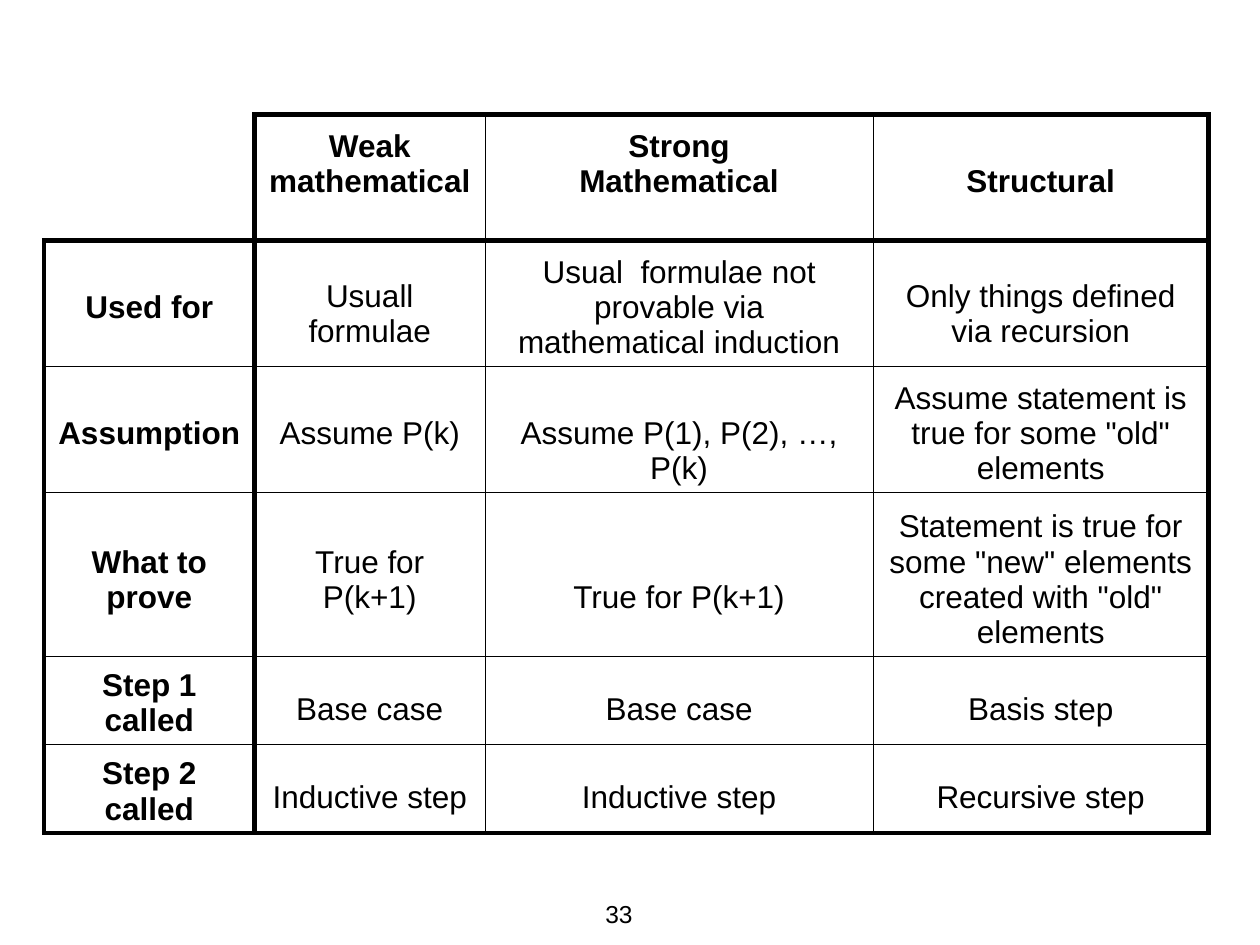
"""Build a slide with a table comparing three kinds of induction."""
import pptx
import pptx.dml.color
import pptx.enum.text
import pptx.oxml.ns
import pptx.util
import lxml.etree
from pptx.util import Inches

BLACK = pptx.dml.color.RGBColor(0, 0, 0)
ALIGN = pptx.enum.text.PP_ALIGN
ANCHOR = pptx.enum.text.MSO_ANCHOR
THICK, THIN, NONE = 3, 0.5, 0
LOW, RAISED, HIGH = 0.05, 0.14, 0.33

COLUMN_WIDTHS = [1.67, 1.83, 3.08, 2.66]
ROW_HEIGHTS = [1, 1, 1, 1.3, 0.7, 0.7]
ROWS = [
    [("", LOW), ("Weak mathematical", HIGH), ("Strong\nMathematical", HIGH), ("Structural", HIGH)],
    [("Used for", HIGH), ("Usuall formulae", RAISED),
     ("Usual  formulae not provable via mathematical induction", LOW),
     ("Only things defined via recursion", RAISED)],
    [("Assumption", HIGH), ("Assume P(k)", HIGH), ("Assume P(1), P(2), …, P(k)", LOW),
     ('Assume statement is true for some "old" elements', LOW)],
    [("What to prove", HIGH), ("True for P(k+1)", HIGH), ("True for P(k+1)", HIGH),
     ('Statement is true for some "new" elements created with "old" elements', LOW)],
    [("Step 1 called", LOW), ("Base case", RAISED), ("Base case", RAISED), ("Basis step", RAISED)],
    [("Step 2 called", LOW), ("Inductive step", RAISED), ("Inductive step", RAISED),
     ("Recursive step", RAISED)],
]


def write(frame, text, size=18, bold=False, align=ALIGN.CENTER):
    for index, line in enumerate(text.split("\n")):
        para = frame.paragraphs[0] if index == 0 else frame.add_paragraph()
        para.alignment = align
        span = para.add_run()
        span.text = line
        span.font.name = "Arial"
        span.font.size = pptx.util.Pt(size)
        span.font.bold = bold
        span.font.color.rgb = BLACK


def draw_border(cell, side, width):
    qn = pptx.oxml.ns.qn
    properties = cell._tc.get_or_add_tcPr()
    line = lxml.etree.SubElement(properties, qn(f"a:ln{side}"), w=str(pptx.util.Pt(width)))
    if width == NONE:
        lxml.etree.SubElement(line, qn("a:noFill"))
    else:
        fill = lxml.etree.SubElement(line, qn("a:solidFill"))
        lxml.etree.SubElement(fill, qn("a:srgbClr"), val=str(BLACK))


deck = pptx.Presentation()
deck.slide_width, deck.slide_height = Inches(10), Inches(7.5)
slide = deck.slides.add_slide(deck.slide_layouts[6])

number_box = slide.shapes.add_textbox(Inches(4.45), Inches(7), Inches(0.67), Inches(0.5))
number_box.text_frame.word_wrap = False
number_box.text_frame.vertical_anchor = ANCHOR.MIDDLE
write(number_box.text_frame, "33", size=14, align=ALIGN.RIGHT)

table = slide.shapes.add_table(
    len(ROW_HEIGHTS), len(COLUMN_WIDTHS), Inches(0.35), Inches(0.91),
    Inches(sum(COLUMN_WIDTHS)), Inches(sum(ROW_HEIGHTS))).table
table.first_row = table.horz_banding = False
for column, width in zip(table.columns, COLUMN_WIDTHS):
    column.width = Inches(width)
for row, height in zip(table.rows, ROW_HEIGHTS):
    row.height = Inches(height)

last_row, last_column = len(ROW_HEIGHTS) - 1, len(COLUMN_WIDTHS) - 1
for r, row_texts in enumerate(ROWS):
    for c, (text, bottom_margin) in enumerate(row_texts):
        cell = table.cell(r, c)
        is_corner = r == 0 and c == 0
        outer = NONE if is_corner else THICK
        draw_border(cell, "L", outer if c == 0 else THICK if c == 1 else THIN)
        draw_border(cell, "R", THICK if c in (0, last_column) else THIN)
        draw_border(cell, "T", outer if r == 0 else THICK if r == 1 else THIN)
        draw_border(cell, "B", THICK if r in (0, last_row) else THIN)
        cell.fill.background()
        cell.vertical_anchor = ANCHOR.BOTTOM
        cell.margin_left = cell.margin_right = Inches(0.1)
        cell.margin_top = Inches(0.05)
        cell.margin_bottom = Inches(bottom_margin)
        if text:
            write(cell.text_frame, text, bold=r == 0 or c == 0)

deck.save("out.pptx")
